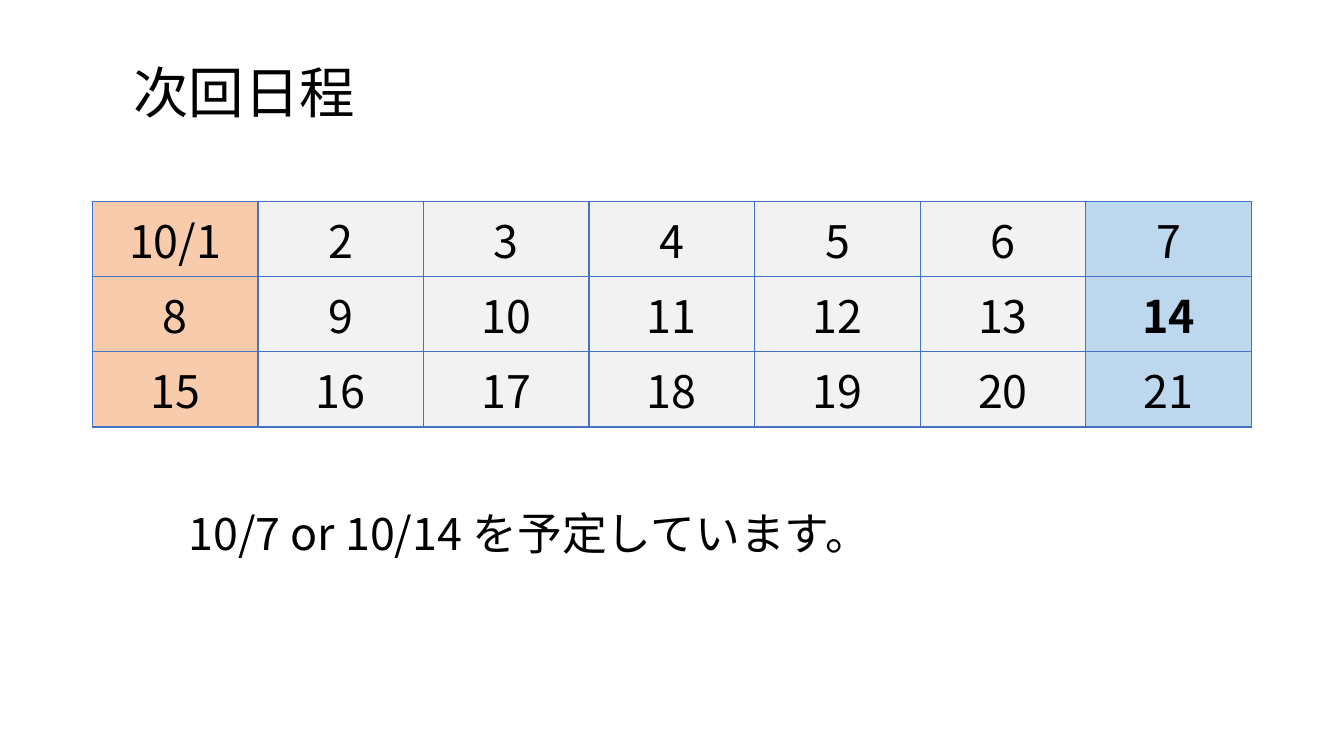
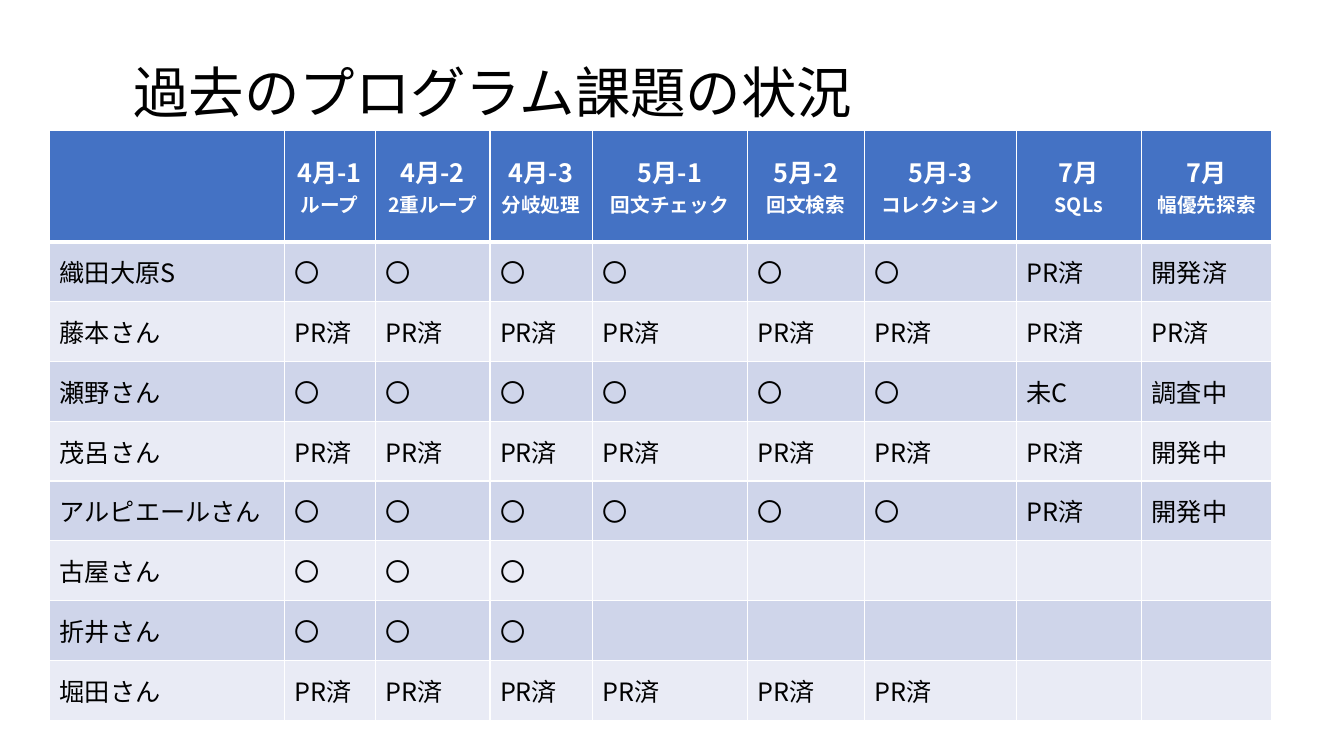
from dataclasses import dataclass

from lxml import etree
from pptx import Presentation
from pptx.dml.color import RGBColor
from pptx.enum import text as t
from pptx.oxml.ns import qn
from pptx.util import Pt


@dataclass(frozen=True)
class Theme:
    font: str = "Noto Sans CJK JP"
    ink: str = "000000"
    white: str = "FFFFFF"
    blue: str = "4472C4"
    sun: str = "F8CBAD"
    week: str = "F2F2F2"
    sat: str = "BDD7EE"
    odd: str = "CFD5EA"
    even: str = "E9EBF5"
    title: float = 39.6
    large: float = 32
    body: float = 18
    small: float = 14


TH = Theme()
LEFT, MID = t.PP_ALIGN.LEFT, t.PP_ALIGN.CENTER
TITLE = (88, 43, 800, 50)


def style(para, size, color=TH.ink, bold=False, align=LEFT):
    para.alignment = align
    for run in para.runs:
        font = run.font
        font.size, font.bold, font.name = Pt(size), bold, TH.font
        font.color.rgb = RGBColor.from_string(color)
        east = etree.SubElement(font._element, qn("a:ea"))
        east.set("typeface", TH.font)


def edge(cell, color, **wide):
    props = cell._tc.get_or_add_tcPr()
    for side in "LRTB":
        line = etree.SubElement(props, qn("a:ln" + side))
        line.set("w", str(int(Pt(wide.get(side, 1)))))
        fill = etree.SubElement(line, qn("a:solidFill"))
        etree.SubElement(fill, qn("a:srgbClr")).set("val", color)


def paint(cell, color):
    cell.fill.solid()
    cell.fill.fore_color.rgb = RGBColor.from_string(color)
    cell.vertical_anchor = t.MSO_ANCHOR.MIDDLE


def titled(deck, words):
    slide = deck.slides.add_slide(deck.slide_layouts[5])
    title = slide.shapes.title
    title.left, title.top, title.width, title.height = map(Pt, TITLE)
    frame = title.text_frame
    frame.text = words
    frame.auto_size = t.MSO_AUTO_SIZE.NONE
    frame.vertical_anchor = t.MSO_ANCHOR.MIDDLE
    para = frame.paragraphs[0]
    para.line_spacing = 0.9
    style(para, TH.title)
    return slide


def grid(slide, box, count, widths):
    frame = slide.shapes.add_table(count, len(widths), *map(Pt, box))
    table = frame.table
    table.first_row = table.horz_banding = False
    for col, width in zip(table.columns, widths):
        col.width = Pt(width)
    for row in table.rows:
        row.height = Pt(box[3] / count)
    return table


def month(slide, box, weeks, pick):
    days = 7
    table = grid(slide, box, weeks, [box[2] / days] * days)
    fills = [TH.sun] + [TH.week] * 5 + [TH.sat]
    for i, cell in enumerate(table.iter_cells()):
        day = i + 1
        cell.text = "10/1" if day == 1 else str(day)
        style(cell.text_frame.paragraphs[0], TH.large, bold=day == pick, align=MID)
        edge(cell, TH.blue)
        paint(cell, fills[i % days])


def note(slide, box, words):
    frame = slide.shapes.add_textbox(*map(Pt, box)).text_frame
    frame.word_wrap = True
    frame.auto_size = t.MSO_AUTO_SIZE.SHAPE_TO_FIT_TEXT
    frame.text = words
    style(frame.paragraphs[0], TH.large)


def status(slide, box, widths, heads, people):
    table = grid(slide, box, len(people) + 1, widths)
    for c, head in enumerate(heads):
        cell = table.cell(0, c)
        cell.text = "\n".join(head)
        for para, size in zip(cell.text_frame.paragraphs, (TH.body, TH.small)):
            style(para, size, TH.white, True, MID)
        edge(cell, TH.white, B=3)
        paint(cell, TH.blue)
    for r, marks in enumerate(people, 1):
        for c in range(len(heads)):
            cell = table.cell(r, c)
            cell.text = marks[c] if c < len(marks) else ""
            style(cell.text_frame.paragraphs[0], TH.body)
            edge(cell, TH.white, T=3 if r == 1 else 1)
            paint(cell, TH.odd if r % 2 else TH.even)


def dates(deck):
    slide = titled(deck, "次回日程")
    month(slide, (66, 144, 828, 151.2), 3, 14)
    note(slide, (127.5, 358, 732, 46), "10/7 or 10/14 を予定しています。")


def tasks(deck):
    slide = titled(deck, "過去のプログラム課題の状況")
    heads = [
        (), ("4月-1", "ループ"), ("4月-2", "2重ループ"), ("4月-3", "分岐処理"),
        ("5月-1", "回文チェック"), ("5月-2", "回文検索"),
        ("5月-3", "コレクション"), ("7月", "SQLs"), ("7月", "幅優先探索"),
    ]
    ok, done, work = "〇", "PR済", "開発中"
    people = [
        ["織田大原S", *[ok] * 6, done, "開発済"],
        ["藤本さん", *[done] * 8],
        ["瀬野さん", *[ok] * 6, "未C", "調査中"],
        ["茂呂さん", *[done] * 7, work],
        ["アルピエールさん", *[ok] * 6, done, work],
        ["古屋さん", *[ok] * 3],
        ["折井さん", *[ok] * 3],
        ["堀田さん", *[done] * 6],
    ]
    widths = [167.5, 65, 82, 73, 111, 83.5, 108.5, 89.5, 93]
    status(slide, (35.5, 93, sum(widths), 384.5), widths, heads, people)


deck = Presentation()
deck.slide_width, deck.slide_height = Pt(960), Pt(540)
dates(deck)
tasks(deck)
deck.save("out.pptx")
